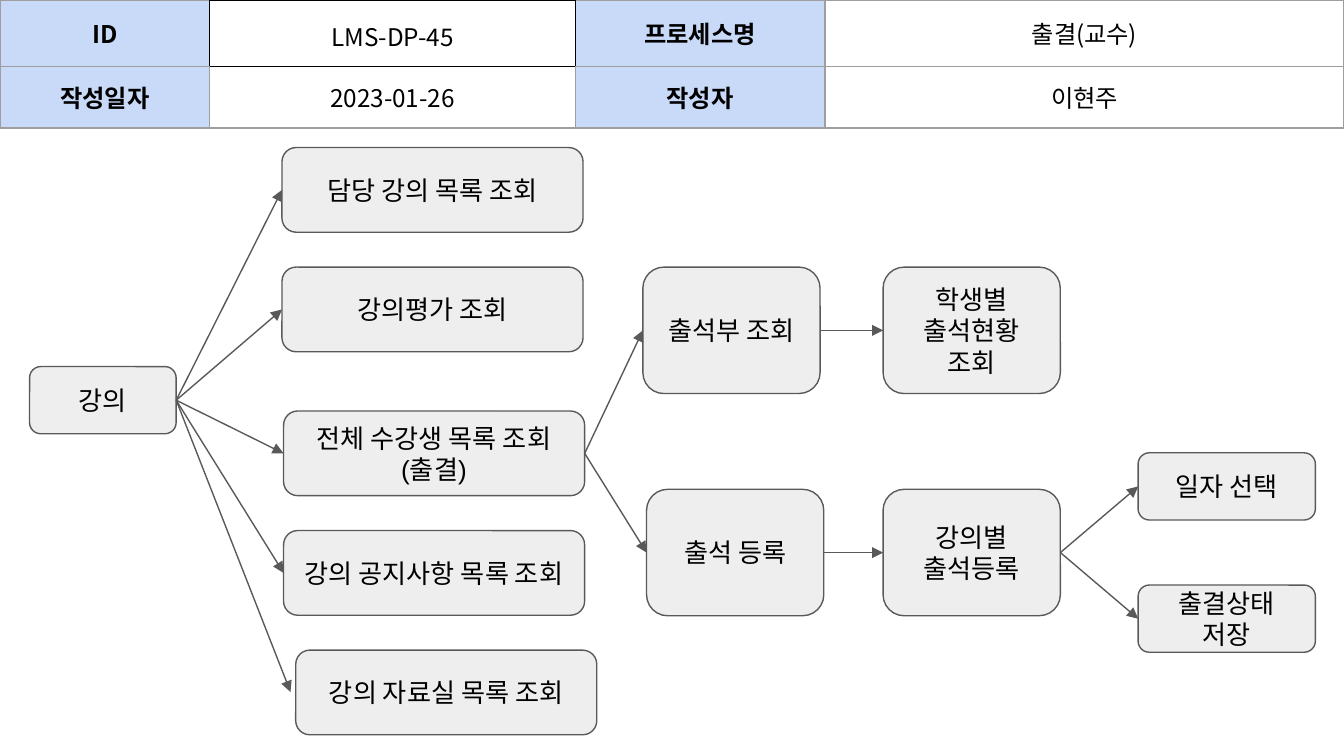
from lxml import etree
from pptx import Presentation, util as u
from pptx.dml.color import RGBColor
from pptx.enum import shapes, text
from pptx.oxml.ns import qn

THEME = {
    "table_font": "Noto Sans CJK KR", "box_font": "Arial",
    "table_size": 13, "box_size": 14, "line_width": 0.75, "frame_width": 0.68,
    "ink": "000000", "label": "C9DAF8", "white": "FFFFFF",
    "box": "EEEEEE", "line": "595959", "grid": "9E9E9E",
}
INFO = [
    ["ID", "LMS-DP-45", "프로세스명", "출결(교수)"],
    ["작성일자", "2023-01-26", "작성자", "이현주"],
]
INFO_COLS = [3.96, 6.91, 4.72, 2.31, 2.85, 4.65]
INFO_ROWS = [1.07, 1.09]
FRAMED = (0, 1)

SMALL, WIDE, TALL, LOW = (2.77, 1.27), (5.69, 1.6), (3.35, 2.39), (3.35, 1.27)
BOXES = {
    "lecture": ("강의", 0.56, 6.93, SMALL),
    "assigned": ("담당 강의 목록 조회", 5.33, 2.79, WIDE),
    "rating": ("강의평가 조회", 5.33, 5.05, WIDE),
    "students": ("전체 수강생 목록 조회(출결)", 5.36, 7.77, WIDE),
    "notices": ("강의 공지사항 목록 조회", 5.36, 10.03, WIDE),
    "materials": ("강의 자료실 목록 조회", 5.59, 12.29, WIDE),
    "roll": ("출석부 조회", 12.15, 5.05, TALL),
    "by_student": ("학생별 출석현황 조회", 16.69, 5.05, TALL),
    "register": ("출석 등록", 12.22, 9.25, TALL),
    "by_lecture": ("강의별 출석등록", 16.69, 9.25, TALL),
    "date": ("일자 선택", 21.51, 8.56, LOW),
    "save": ("출결상태 저장", 21.51, 11.06, LOW),
}
FLOWS = {
    "lecture": ["assigned", "rating", "students", "notices"],
    "students": ["roll", "register"],
    "roll": ["by_student"],
    "register": ["by_lecture"],
    "by_lecture": ["date", "save"],
}
LOOSE_END = ("lecture", 5.49, 13.08)


def rgb(name):
    return RGBColor.from_string(THEME[name])


def write(tf, words, kind, bold=False):
    tf.word_wrap = True
    tf.margin_left = tf.margin_right = tf.margin_top = tf.margin_bottom = u.Cm(0.25)
    p = tf.paragraphs[0]
    p.alignment = text.PP_ALIGN.CENTER
    r = p.add_run()
    r.text = words
    r.font.name = THEME[kind + "_font"]
    r.font.size = u.Pt(THEME[kind + "_size"])
    r.font.bold = bold
    r.font.color.rgb = rgb("ink")
    ea = etree.SubElement(r.font._element, qn("a:ea"))
    ea.set("typeface", THEME["table_font"])
    return p


def border(cell, side, colour, width):
    ln = etree.SubElement(cell._tc.get_or_add_tcPr(), qn("a:ln" + side), w=str(u.Pt(width)))
    fill = etree.SubElement(ln, qn("a:solidFill"))
    etree.SubElement(fill, qn("a:srgbClr"), val=THEME[colour])


def add_info(s):
    frame = s.shapes.add_table(2, len(INFO_COLS), 0, 0, u.Cm(sum(INFO_COLS)), u.Cm(sum(INFO_ROWS)))
    table = frame.table
    table.first_row = table.horz_banding = False
    for col, width in zip(table.columns, INFO_COLS):
        col.width = u.Cm(width)
    for row, height in zip(table.rows, INFO_ROWS):
        row.height = u.Cm(height)
    neighbours = {"L": (0, -1), "R": (0, 1), "T": (-1, 0), "B": (1, 0)}
    for i, words in enumerate(INFO):
        for j in range(len(INFO_COLS)):
            cell = table.cell(i, j)
            for side, (di, dj) in neighbours.items():
                if FRAMED in ((i, j), (i + di, j + dj)):
                    border(cell, side, "ink", THEME["frame_width"])
                else:
                    border(cell, side, "grid", THEME["line_width"])
            if j in (0, 2) or (i, j) == FRAMED:
                cell.fill.solid()
                cell.fill.fore_color.rgb = rgb("white" if (i, j) == FRAMED else "label")
            else:
                cell.fill.background()
            if j < len(words):
                p = write(cell.text_frame, words[j], "table", j in (0, 2))
                if (i, j) == FRAMED:
                    p.line_spacing = 1.15
                else:
                    cell.vertical_anchor = text.MSO_ANCHOR.MIDDLE
                cell.margin_left = cell.margin_right = u.Cm(0.25)
                cell.margin_top = cell.margin_bottom = u.Cm(0.25)
        table.cell(i, 3).merge(table.cell(i, 5))


def add_box(s, words, left, top, size):
    sp = s.shapes.add_shape(shapes.MSO_SHAPE.ROUNDED_RECTANGLE,
                            *[u.Cm(v) for v in (left, top, *size)])
    sp.shadow.inherit = False
    sp.fill.solid()
    sp.fill.fore_color.rgb = rgb("box")
    sp.line.color.rgb = rgb("line")
    sp.line.width = u.Pt(THEME["line_width"])
    sp.text_frame.vertical_anchor = text.MSO_ANCHOR.MIDDLE
    write(sp.text_frame, words, "box")
    return sp


def add_arrow(s, start, end=None, x=0, y=0):
    cxn = s.shapes.add_connector(shapes.MSO_CONNECTOR.STRAIGHT, 0, 0, u.Cm(x), u.Cm(y))
    cxn.begin_connect(start, 3)
    if end is not None:
        cxn.end_connect(end, 1)
    cxn.line.color.rgb = rgb("line")
    cxn.line.width = u.Pt(THEME["line_width"])
    etree.SubElement(cxn.line._get_or_add_ln(), qn("a:tailEnd"), type="triangle")
    etree.SubElement(cxn._element.spPr, qn("a:effectLst"))


def main():
    prs = Presentation()
    prs.slide_width, prs.slide_height = u.Cm(25.4), u.Cm(14.29)
    s = prs.slides.add_slide(prs.slide_layouts[6])
    add_info(s)
    boxes = {name: add_box(s, *box) for name, box in BOXES.items()}
    for start, ends in FLOWS.items():
        for end in ends:
            add_arrow(s, boxes[start], boxes[end])
    start, x, y = LOOSE_END
    add_arrow(s, boxes[start], x=x, y=y)
    prs.save("out.pptx")


if __name__ == "__main__":
    main()
